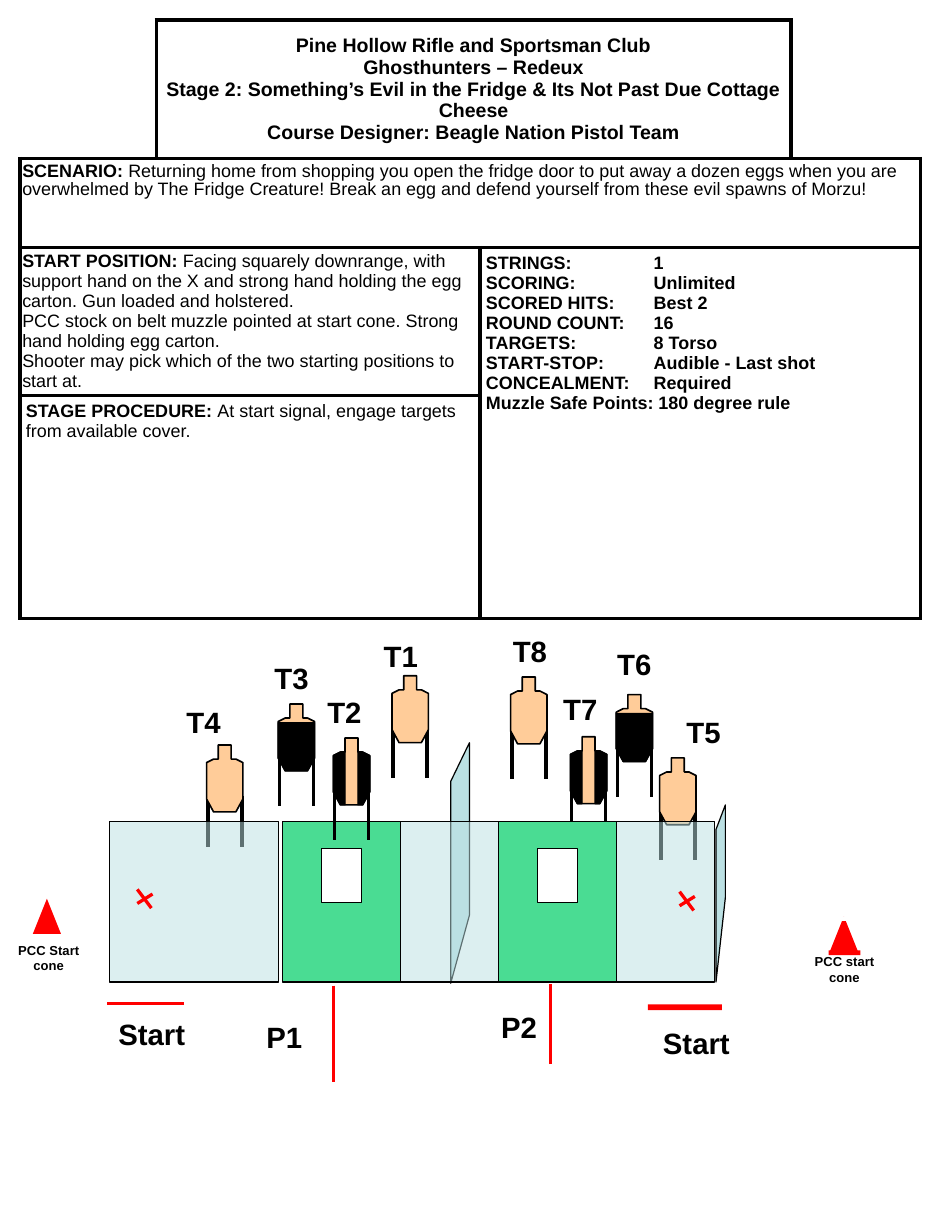
from lxml.etree import SubElement
from pptx import Presentation
from pptx.dml.color import RGBColor
from pptx.enum.shapes import MSO_CONNECTOR as Connector, MSO_SHAPE as Preset
from pptx.enum.text import MSO_ANCHOR as Anchor, PP_ALIGN as Align
from pptx.oxml.ns import qn
from pptx.util import Cm, Pt

BLACK = RGBColor(0x00, 0x00, 0x00)
WHITE = RGBColor(0xFF, 0xFF, 0xFF)
RED = RGBColor(0xFF, 0x00, 0x00)
GREEN = RGBColor(0x4A, 0xDC, 0x93)
GLASS = RGBColor(0xBB, 0xE0, 0xE3)
TAN = RGBColor(0xFF, 0xCC, 0x99)

# Paragraphs are lists of (text, bold) spans.
TITLE = [[("\v".join([
    "Pine Hollow Rifle and Sportsman Club",
    "Ghosthunters – Redeux",
    "Stage 2: Something’s Evil in the Fridge & Its Not Past Due Cottage Cheese",
    "Course Designer: Beagle Nation Pistol Team"]), True)]]
SCENARIO = [[("SCENARIO: ", True), (
    "Returning home from shopping you open the fridge door to put away a dozen eggs when you are "
    "overwhelmed by The Fridge Creature! Break an egg and defend yourself from these evil spawns "
    "of Morzu!", False)]]
START = [
    [("START POSITION: ", True), (
        "Facing squarely downrange, with support hand on the X and strong hand holding the egg "
        "carton. Gun loaded and holstered.", False)],
    [("PCC stock on belt muzzle pointed at start cone. Strong hand holding egg carton.", False)],
    [("Shooter may pick which of the two starting positions to start at.", False)]]
PROCEDURE = [[("STAGE PROCEDURE: ", True),
              ("At start signal, engage targets from available cover.", False)]]
RULES = [[(text, True)] for text in (
    "STRINGS:\t1", "SCORING:\tUnlimited", "SCORED HITS:\tBest 2", "ROUND COUNT:\t16",
    "TARGETS:\t8 Torso", "START-STOP:\tAudible - Last shot", "CONCEALMENT:\tRequired",
    "Muzzle Safe Points: 180 degree rule")]

COLUMNS = [1.16, 2.76, 2.65, 1.1]
ROWS = [1.18, 0.76, 1.26, 1.9]
# first cell, last cell, paragraphs, size, side margin, top margin, format
CELLS = [
    ((0, 1), (0, 2), TITLE, 12, 0.05, 0.05, {"alignment": Align.CENTER}),
    ((1, 0), (1, 3), SCENARIO, 11, 0.02, 0.04, {"line_spacing": 0.9}),
    ((2, 0), (2, 1), START, 11, 0.02, 0.03, {}),
    ((2, 2), (3, 3), RULES, 11, 0.05, 0.05, {}),
    ((3, 0), (3, 1), PROCEDURE, 11, 0.05, 0.05, {})]
OPEN_CORNERS = {(0, 0): "RB", (0, 3): "LB"}

# left, top, hard cover
TARGETS = [(1.76, 6.35, None), (2.84, 6.29, "sides"), (2.37, 6, "body"), (3.34, 5.76, None),
           (5.62, 6.46, None), (4.86, 6.28, "sides"), (5.25, 5.92, "body"), (4.35, 5.77, None)]
OUTLINE = [(0.1, 0), (0.21, 0), (0.21, 0.12), (0.25, 0.12), (0.31, 0.15), (0.31, 0.46),
           (0.25, 0.57), (0.06, 0.57), (0, 0.46), (0, 0.15), (0.06, 0.12), (0.1, 0.12)]
LEFT_SIDE = [(0.1, 0.12), (0.1, 0.57), (0.06, 0.57), (0, 0.46), (0, 0.15), (0.06, 0.12)]
COVERS = {
    None: [],
    "sides": [LEFT_SIDE, [(0.31 - x, y) for x, y in LEFT_SIDE]],
    "body": [[(0, 0.16), (0.31, 0.16), (0.31, 0.46), (0.25, 0.57), (0.06, 0.57), (0, 0.46)]]}

# text, left, top, width
LABELS = [("T1", 3.17, 5.39, 0.58), ("T2", 2.69, 5.87, 0.58), ("T3", 2.24, 5.58, 0.58),
          ("T4", 1.49, 5.95, 0.58), ("T5", 5.75, 6.04, 0.58), ("T6", 5.16, 5.46, 0.58),
          ("T7", 4.7, 5.84, 0.58), ("T8", 4.27, 5.35, 0.58), ("P1", 2.17, 8.64, 0.58),
          ("P2", 4.17, 8.55, 0.58), ("Start", 0.91, 8.61, 0.87), ("Start", 5.55, 8.69, 0.87)]
RED_LINES = [(1.57, 8.55, 0.91, 8.55), (2.84, 8.4, 2.84, 9.22), (4.69, 9.07, 4.69, 8.39)]
CROSSES = [(1.17, 7.58), (5.79, 7.6)]
WALL_TOP, WALL_BOTTOM = 7, 8.37


def inch(value):
    return Cm(value * 2.54)


def write(frame, paragraphs, size, **settings):
    for index, spans in enumerate(paragraphs):
        para = frame.paragraphs[0] if index == 0 else frame.add_paragraph()
        for name, value in settings.items():
            setattr(para, name, value)
        for text, bold in spans:
            for part, line in enumerate(text.split("\v")):
                if part:
                    para.add_line_break()
                span = para.add_run()
                span.text = line
                for name, value in {"name": "Arial", "size": Pt(size), "bold": bold}.items():
                    setattr(span.font, name, value)
                span.font.color.rgb = BLACK
            if "\t" in text:
                tabs = SubElement(para._p.get_or_add_pPr(), qn("a:tabLst"))
                SubElement(tabs, qn("a:tab"), pos=str(inch(1.43)), algn="l")


def add_borders(cell, sides):
    for side in "LRTB":
        edge = SubElement(cell._tc.get_or_add_tcPr(), qn(f"a:ln{side}"), w=str(Pt(2.25)))
        if side in sides:
            fill = SubElement(edge, qn("a:solidFill"))
            SubElement(fill, qn("a:srgbClr"), val=str(BLACK))
        else:
            SubElement(edge, qn("a:noFill"))


def add_brief(page):
    frame = page.shapes.add_table(len(ROWS), len(COLUMNS), inch(0.17), inch(0.17),
                                  inch(sum(COLUMNS)), inch(sum(ROWS)))
    table = frame.table
    table.first_row = table.horz_banding = False
    for column, width in zip(table.columns, COLUMNS):
        column.width = inch(width)
    for row, height in zip(table.rows, ROWS):
        row.height = inch(height)
    for r in range(len(ROWS)):
        for c in range(len(COLUMNS)):
            cell = table.cell(r, c)
            add_borders(cell, OPEN_CORNERS.get((r, c), "LRTB"))
            cell.fill.solid()
            cell.fill.fore_color.rgb = WHITE
    for first, last, paragraphs, size, side, top, settings in CELLS:
        cell = table.cell(*first)
        cell.merge(table.cell(*last))
        cell.margin_left = cell.margin_right = inch(side)
        cell.margin_top = cell.margin_bottom = inch(top)
        cell.vertical_anchor = Anchor.MIDDLE if paragraphs is TITLE else Anchor.TOP
        write(cell.text_frame, paragraphs, size, **settings)


def paint(shape, color, line_width=None, alpha=None):
    shape.shadow.inherit = False
    shape.fill.solid()
    shape.fill.fore_color.rgb = color
    if alpha:
        tint = shape._element.spPr.find(qn("a:solidFill"))[0]
        SubElement(tint, qn("a:alpha"), val=str(alpha * 1000))
    if line_width is None:
        shape.line.fill.background()
    else:
        shape.line.color.rgb = BLACK
        shape.line.width = Pt(line_width)


def add_outline(shapes, contours, color, line_width, alpha=None, left=0, top=0):
    """Draw closed contours as one shape; a second contour is a hole."""
    contours = [[(inch(left + x), inch(top + y)) for x, y in points] for points in contours]
    builder = shapes.build_freeform(*contours[0][0])
    for index, points in enumerate(contours):
        if index:
            builder.move_to(*points[0])
        builder.add_line_segments(points[1:], close=True)
    paint(builder.convert_to_shape(), color, line_width, alpha)


def add_line(shapes, x1, y1, x2, y2, color, width):
    line = shapes.add_connector(Connector.STRAIGHT, inch(x1), inch(y1), inch(x2), inch(y2))
    line.line.color.rgb = color
    line.line.width = Pt(width)
    SubElement(line._element.spPr, qn("a:effectLst"))


def add_preset(shapes, preset, left, top, width, height, color):
    paint(shapes.add_shape(preset, inch(left), inch(top), inch(width), inch(height)), color)


def add_label(shapes, text, left, top, width, height=0.4, size=18, align=Align.LEFT):
    box = shapes.add_textbox(inch(left), inch(top), inch(width), inch(height))
    box.text_frame.word_wrap = True
    write(box.text_frame, [[(text, True)]], size, alignment=align)


def rectangle(left, top, right, bottom):
    return [(left, top), (right, top), (right, bottom), (left, bottom)]


def add_glass_wall(page, left, right):
    add_outline(page.shapes, [rectangle(left, WALL_TOP, right, WALL_BOTTOM)], GLASS, 0.75, 50)


def add_window_wall(page, left):
    wall = rectangle(left, WALL_TOP, left + 1, WALL_BOTTOM)
    window = rectangle(left + 0.33, 7.23, left + 0.67, 7.69)
    add_outline(page.shapes, [wall, window], GREEN, 0)


def add_target(page, left, top, cover):
    shapes = page.shapes.add_group_shape().shapes
    for x in (left + 0.01, left + 0.3):
        add_line(shapes, x, top + 0.43, x, top + 0.87, BLACK, 2.25)
    add_outline(shapes, [OUTLINE], TAN, 1, left=left, top=top)
    for part in COVERS[cover]:
        add_outline(shapes, [part], BLACK, 0, left=left, top=top)


def add_cone(page, left, top, text, label_left, label_top, has_base):
    shapes = page.shapes.add_group_shape().shapes
    add_preset(shapes, Preset.ISOSCELES_TRIANGLE, left, top, 0.24, 0.3, RED)
    if has_base:
        add_preset(shapes, Preset.RECTANGLE, left + 0.06, top, 0.12, 0.04, WHITE)
        add_preset(shapes, Preset.RECTANGLE, left - 0.01, top + 0.29, 0.27, 0.04, RED)
    add_label(shapes, text, label_left, label_top, 0.75, 0.37, 8, Align.CENTER)


def main():
    deck = Presentation()
    deck.slide_width, deck.slide_height = inch(8), inch(10.5)
    page = deck.slides.add_slide(deck.slide_layouts[6])
    add_brief(page)
    add_window_wall(page, 2.41)
    add_outline(page.shapes, [[(3.84, 8.38), (3.84, 6.66), (4, 6.33), (4, 7.8)]], GLASS, 0.75)
    add_glass_wall(page, 3.41, 4.25)
    for target in TARGETS:
        add_target(page, *target)
    add_window_wall(page, 4.25)
    add_glass_wall(page, 5.25, 6.09)
    add_outline(page.shapes, [[(6.18, 7.65), (6.1, 8.37), (6.1, 7.07), (6.18, 6.86)]], GLASS, 0.75)
    add_glass_wall(page, 0.93, 2.37)
    add_cone(page, 7.07, 7.81, "PCC start cone", 6.82, 8.08, True)
    add_cone(page, 0.28, 7.66, "PCC Start cone", 0.04, 7.98, False)
    for label in LABELS:
        add_label(page.shapes, *label)
    for ends in RED_LINES:
        add_line(page.shapes, *ends, RED, 2)
    add_preset(page.shapes, Preset.RECTANGLE, 5.52, 8.56, 0.63, 0.05, RED)
    for x, y in CROSSES:
        shapes = page.shapes.add_group_shape().shapes
        add_line(shapes, x + 0.13, y + 0.04, x, y + 0.12, RED, 2)
        add_line(shapes, x + 0.12, y + 0.16, x, y, RED, 2)
    deck.save("out.pptx")


if __name__ == "__main__":
    main()
